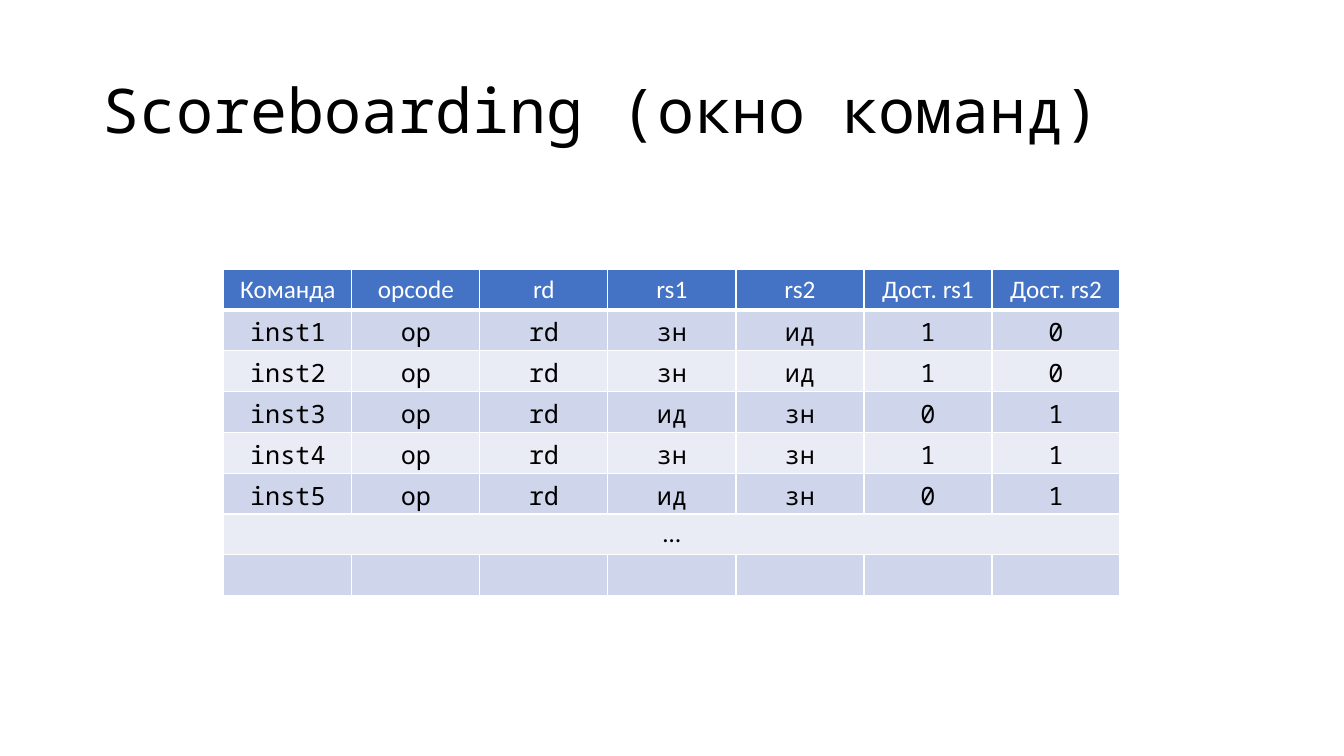
from lxml import etree
from pptx import Presentation
from pptx import util as u
from pptx.dml.color import RGBColor
from pptx.enum import text
from pptx.oxml import ns

BLACK = RGBColor(0x00, 0x00, 0x00)
WHITE = RGBColor(0xFF, 0xFF, 0xFF)
HEADER_BLUE = RGBColor(0x44, 0x72, 0xC4)
BAND_DARK = RGBColor(0xCF, 0xD5, 0xEA)
BAND_LIGHT = RGBColor(0xE9, 0xEB, 0xF5)
MONO, SANS = "Noto Sans Mono", "Calibri"


def style_run(run, font, size, color):
    run.font.name = font
    run.font.size = u.Pt(size)
    run.font.bold = False
    run.font.color.rgb = color
    for tag in ("a:ea", "a:cs"):
        etree.SubElement(run.font._element, ns.qn(tag), typeface=font)


def add_border(cell, side, width):
    line = etree.SubElement(cell._tc.get_or_add_tcPr(), ns.qn("a:ln" + side),
                            w=str(u.Pt(width)))
    fill = etree.SubElement(line, ns.qn("a:solidFill"))
    etree.SubElement(fill, ns.qn("a:srgbClr"), val=str(WHITE))


prs = Presentation()
prs.slide_width, prs.slide_height = u.Inches(13.33), u.Inches(7.5)
slide = prs.slides.add_slide(prs.slide_layouts[6])

# Title
title = slide.shapes.add_textbox(u.Inches(0.92), u.Inches(0.4),
                                 u.Inches(11.5), u.Inches(1.45)).text_frame
title.word_wrap = True
title.vertical_anchor = text.MSO_ANCHOR.MIDDLE
title.text = "Scoreboarding (окно команд)"
title.paragraphs[0].line_spacing = 0.9
style_run(title.paragraphs[0].runs[0], MONO, 44, BLACK)

# Instruction window
window = [
    ["Команда", "opcode", "rd", "rs1", "rs2", "Дост. rs1", "Дост. rs2"],
    ["inst1", "op", "rd", "зн", "ид", "1", "0"],
    ["inst2", "op", "rd", "зн", "ид", "1", "0"],
    ["inst3", "op", "rd", "ид", "зн", "0", "1"],
    ["inst4", "op", "rd", "зн", "зн", "1", "1"],
    ["inst5", "op", "rd", "ид", "зн", "0", "1"],
    ["…"] + [""] * 6,
    [""] * 7,
]
ELLIPSIS_ROW = 6
row_count, column_count = len(window), len(window[0])
table = slide.shapes.add_table(row_count, column_count,
                               u.Inches(2.22), u.Inches(2.67),
                               u.Inches(8.89), u.Inches(3.24)).table

for r, entries in enumerate(window):
    header = r == 0
    font = SANS if header or r == ELLIPSIS_ROW else MONO
    band = HEADER_BLUE if header else BAND_DARK if r % 2 else BAND_LIGHT
    for c, entry in enumerate(entries):
        cell = table.cell(r, c)
        for side in "LRTB":
            add_border(cell, side, 3 if header and side == "B" else 1)
        cell.fill.solid()
        cell.fill.fore_color.rgb = band
        cell.vertical_anchor = text.MSO_ANCHOR.MIDDLE
        if entry:
            cell.text_frame.text = entry
            paragraph = cell.text_frame.paragraphs[0]
            paragraph.alignment = text.PP_ALIGN.CENTER
            style_run(paragraph.runs[0], font, 18, WHITE if header else BLACK)

table.cell(ELLIPSIS_ROW, 0).merge(table.cell(ELLIPSIS_ROW, column_count - 1))

prs.save("out.pptx")
